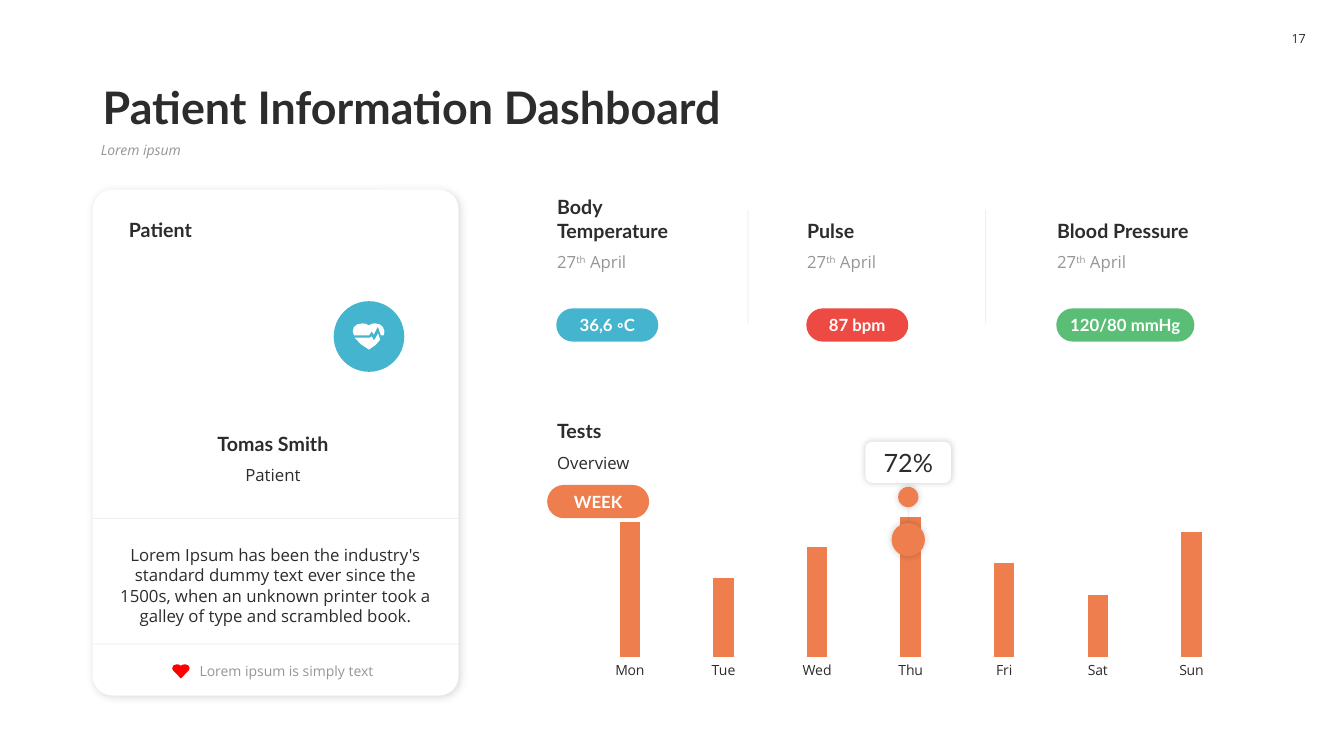
from lxml.etree import SubElement
from pptx import Presentation
from pptx.chart.data import CategoryChartData
from pptx.dml.color import RGBColor
from pptx.enum.chart import XL_CHART_TYPE, XL_TICK_MARK
from pptx.enum.shapes import MSO_CONNECTOR, MSO_SHAPE
from pptx.enum.text import MSO_ANCHOR, PP_ALIGN
from pptx.oxml import parse_xml
from pptx.oxml.ns import nsdecls, qn
from pptx.util import Cm, Pt

DARK, GRAY, WHITE = "2C2C2C", "969696", "FFFFFF"
BLUE, RED, GREEN, ORANGE = "45B5CF", "ED4A43", "5BBE77", "EE7E4D"
LEFT, CENTER = PP_ALIGN.LEFT, PP_ALIGN.CENTER
TOP, MIDDLE, BOTTOM = MSO_ANCHOR.TOP, MSO_ANCHOR.MIDDLE, MSO_ANCHOR.BOTTOM
HEART = [[(22, 36), (7, 20), (2, 15), (0, 10), (3, 3), (11, 0), (18, 1), (22, 4),
          (26, 1), (33, 0), (41, 3), (44, 10), (42, 15), (37, 20)]]
HEARTBEAT = [
    [(64, 25), (69, 41), (58, 54), (41, 66), (20, 52), (5, 36), (43, 36),
     (48, 33), (53, 43), (58, 36)],
    [(25, 0), (33, 1), (41, 5), (48, 1), (56, 0), (67, 2), (76, 9), (80, 20),
     (78, 30), (71, 30), (66, 15), (63, 8), (53, 28), (48, 20), (41, 30),
     (3, 30), (0, 20), (3, 9), (12, 2)],
]


def rgb(color):
    """Turn a hex string into a colour."""
    return RGBColor.from_string(color)


def paint(sp, color):
    """Give a shape a plain fill with no outline or shadow."""
    sp.fill.solid()
    sp.fill.fore_color.rgb = rgb(color)
    sp.line.fill.background()
    sp.shadow.inherit = False


def add_shadow(sp, alpha, blur, dist):
    """Add a soft outer shadow to a painted shape."""
    effects = sp._element.spPr.find(qn("a:effectLst"))
    shadow = SubElement(effects, qn("a:outerShdw"), blurRad=str(Pt(blur)),
                        dist=str(Pt(dist)), dir="2700000", algn="ctr", rotWithShape="0")
    color = SubElement(shadow, qn("a:srgbClr"), val="000000")
    SubElement(color, qn("a:alpha"), val=str(alpha * 1000))


def add_block(s, kind, x, y, w, h, color, adj=None):
    """Draw a filled preset shape."""
    sp = s.shapes.add_shape(kind, Cm(x), Cm(y), Cm(w), Cm(h))
    paint(sp, color)
    if adj is not None:
        sp.adjustments[0] = adj
    return sp


def add_outline(s, x, y, contours, color):
    """Draw a filled outline from contours in hundredths of a centimetre."""
    builder = s.shapes.build_freeform(*contours[0][0], scale=Cm(0.01))
    builder.add_line_segments(contours[0][1:])
    for contour in contours[1:]:
        builder.move_to(*contour[0])
        builder.add_line_segments(contour[1:])
    paint(builder.convert_to_shape(Cm(x), Cm(y)), color)


def add_rule(s, x1, y1, x2, y2):
    """Draw a faint hairline."""
    line = s.shapes.add_connector(MSO_CONNECTOR.STRAIGHT, Cm(x1), Cm(y1), Cm(x2), Cm(y2))
    line.line.width = Pt(0.5)
    line.line.color.rgb = rgb(DARK)
    SubElement(line._element.spPr.find(".//" + qn("a:srgbClr")), qn("a:alpha"), val="10000")
    SubElement(line._element.spPr, qn("a:effectLst"))


def style(p, size, font, color, bold=False, italic=False, align=LEFT):
    """Set the font and alignment of a paragraph."""
    p.alignment = align
    p.font.size, p.font.name = Pt(size), font
    p.font.bold, p.font.italic = bold, italic
    p.font.color.rgb = rgb(color)


def add_text(s, x, y, w, h, text, size, font="Open Sans", color=DARK, anchor=TOP, **look):
    """Add a wrapped text box and return its paragraph."""
    tf = s.shapes.add_textbox(Cm(x), Cm(y), Cm(w), Cm(h)).text_frame
    tf.word_wrap, tf.vertical_anchor = True, anchor
    p = tf.paragraphs[0]
    p.text = text
    style(p, size, font, color, **look)
    return p


def add_heading(s, x, y, w, h, text, align=LEFT):
    """Add a bold heading that rests on the bottom of its box."""
    add_text(s, x, y, w, h, text, 14, "Lato", anchor=BOTTOM, bold=True, align=align)


def label(sp, text, size, font, color, bold=False):
    """Write centred text inside a shape."""
    tf = sp.text_frame
    tf.margin_left = tf.margin_right = tf.margin_top = tf.margin_bottom = 0
    tf.vertical_anchor = MIDDLE
    tf.paragraphs[0].text = text
    style(tf.paragraphs[0], size, font, color, bold, align=CENTER)


def add_pill(s, x, y, w, text, color):
    """Draw a rounded badge with white bold text."""
    sp = add_block(s, MSO_SHAPE.ROUNDED_RECTANGLE, x, y, w, 0.84, color, 0.5)
    label(sp, text, 12, "Lato", WHITE, True)


def add_header(s, x, y, w):
    """Place the title, the subtitle and the page number."""
    title = add_text(s, x, y, w, 2.03, "Patient Information Dashboard", 32, "Lato",
                     anchor=BOTTOM, bold=True)
    subtitle = add_text(s, x - 0.05, y + 2.03, w, 0.91, "Lorem ipsum", 10,
                        color=GRAY, italic=True)
    title.line_spacing = subtitle.line_spacing = 0.9
    number = add_block(s, MSO_SHAPE.ROUNDED_RECTANGLE, x + 29.89, y - 1.01, 1, 1, WHITE)
    label(number, "17", 9, "Open Sans", DARK)


def add_patient_card(s, x, y, w, h):
    """Place the patient card."""
    card = add_block(s, MSO_SHAPE.ROUNDED_RECTANGLE, x, y, w, h, WHITE, 0.054)
    add_shadow(card, 15, 6, 1)
    add_heading(s, x + 0.66, y + 0.58, 8.13, 0.86, "Patient")
    add_heading(s, x + 2, y + 5.96, 5.08, 0.86, "Tomas Smith", CENTER)
    add_text(s, x + 2, y + 6.8, 5.08, 0.76, "Patient", 12, align=CENTER)
    for offset in (8.28, 11.45):
        add_rule(s, x, y + offset, x + w, y + offset)
    add_text(s, x + 0.4, y + 8.83, 8.41, 2.31,
             "Lorem Ipsum has been the industry's standard dummy text ever since the 1500s, "
             "when an unknown printer took a galley of type and scrambled book.",
             12, align=CENTER)
    add_outline(s, x + 2, y + 11.96, HEART, "FF0000")
    add_text(s, x + 2.44, y + 11.78, 4.98, 0.69, "Lorem ipsum is simply text", 10,
             color=GRAY, anchor=MIDDLE)
    add_block(s, MSO_SHAPE.OVAL, x + 6.07, y + 2.81, 1.78, 1.78, BLUE)
    add_outline(s, x + 6.55, y + 3.37, HEARTBEAT, WHITE)


def add_vital(s, x, y, name, value, color, pill_width):
    """Place one vital sign with its date and badge."""
    add_heading(s, x, y, 4.22, 1.45, name)
    p = add_text(s, x, y + 1.45, 4.22, 0.76, "27", 12, color=GRAY)
    r = p.add_run()
    r.text = "th"
    r.font._element.set("baseline", "30000")
    p.add_run().text = " April"
    add_pill(s, x + 0.23, y + 2.99, pill_width, value, color)


def add_vitals(s, x, y):
    """Place the row of vital signs and the dividers between them."""
    vitals = [("Body Temperature", "36,6 ◦C", BLUE, 2.57),
              ("Pulse", "87 bpm", RED, 2.57),
              ("Blood Pressure", "120/80 mmHg", GREEN, 3.48)]
    for i, vital in enumerate(vitals):
        add_vital(s, x + 6.3 * i, y, *vital)
    for offset in (5.06, 11.05):
        add_rule(s, x + offset, y + 3.37, x + offset, y + 0.5)


def add_week_chart(s, x, y, w, h):
    """Place the column chart of the week."""
    data = CategoryChartData()
    data.categories = ["Mon", "Tue", "Wed", "Thu", "Fri", "Sat", "Sun"]
    data.add_series("Series 1", (96, 56, 78, 100, 67, 44, 89))
    chart = s.shapes.add_chart(XL_CHART_TYPE.COLUMN_CLUSTERED, Cm(x), Cm(y), Cm(w), Cm(h),
                               data).chart
    chart.has_legend = chart.has_title = False
    chart.font.size, chart.font.name = Pt(12), "Open Sans"
    chart.font.color.rgb = rgb(DARK)
    days, values = chart.category_axis, chart.value_axis
    days.major_tick_mark = XL_TICK_MARK.NONE
    days.tick_labels.font.size = Pt(10)
    days.format.line.fill.background()
    values.minimum_scale, values.maximum_scale = 0, 100
    values.has_major_gridlines = values.visible = False
    plot = chart.plots[0]
    plot.gap_width, plot.overlap, plot.vary_by_categories = 360, -30, False
    fill = plot.series[0].format.fill
    fill.solid()
    fill.fore_color.rgb = rgb(ORANGE)
    area = chart._chartSpace.chart.plotArea
    for old in area.findall(qn("c:layout")):
        area.remove(old)
    area.insert(0, parse_xml(
        f'<c:layout {nsdecls("c")}><c:manualLayout><c:layoutTarget val="inner"/>'
        '<c:xMode val="edge"/><c:yMode val="edge"/><c:x val="0.02"/><c:y val="0.1"/>'
        '<c:w val="0.96"/><c:h val="0.76"/></c:manualLayout></c:layout>'))


def add_tests(s, x, y):
    """Place the tests chart with its heading, badge and callout."""
    add_heading(s, x, y, 7.26, 0.86, "Tests")
    add_text(s, x, y + 0.87, 7.26, 0.76, "Overview", 12)
    add_week_chart(s, x + 0.56, y + 2.14, 17.2, 4.67)
    middle = x + 9.1
    marks = [(MSO_SHAPE.OVAL, 2.77, 0.84, 0.84, ORANGE),
             (MSO_SHAPE.OVAL, 1.86, 0.51, 0.51, ORANGE),
             (MSO_SHAPE.ROUNDED_RECTANGLE, 0.72, 2.16, 1.04, WHITE)]
    for kind, top, w, h, color in marks:
        sp = add_block(s, kind, middle - w / 2, y + top, w, h, color)
        add_shadow(sp, 20, 5, 0)
    label(sp, "72%", 18, "Lato", DARK)
    add_rule(s, middle, y + 2.37, middle, y + 2.77)
    add_pill(s, x, y + 1.81, 2.57, "WEEK", ORANGE)


def main():
    """Build the dashboard slide."""
    prs = Presentation()
    prs.slide_width, prs.slide_height = Cm(33.87), Cm(19.05)
    s = prs.slides.add_slide(prs.slide_layouts[6])
    add_header(s, 2.34, 1.47, 29.21)
    add_patient_card(s, 2.34, 4.78, 9.22, 12.75)
    add_vitals(s, 13.79, 4.78)
    add_tests(s, 13.79, 10.41)
    prs.save("out.pptx")


if __name__ == "__main__":
    main()
